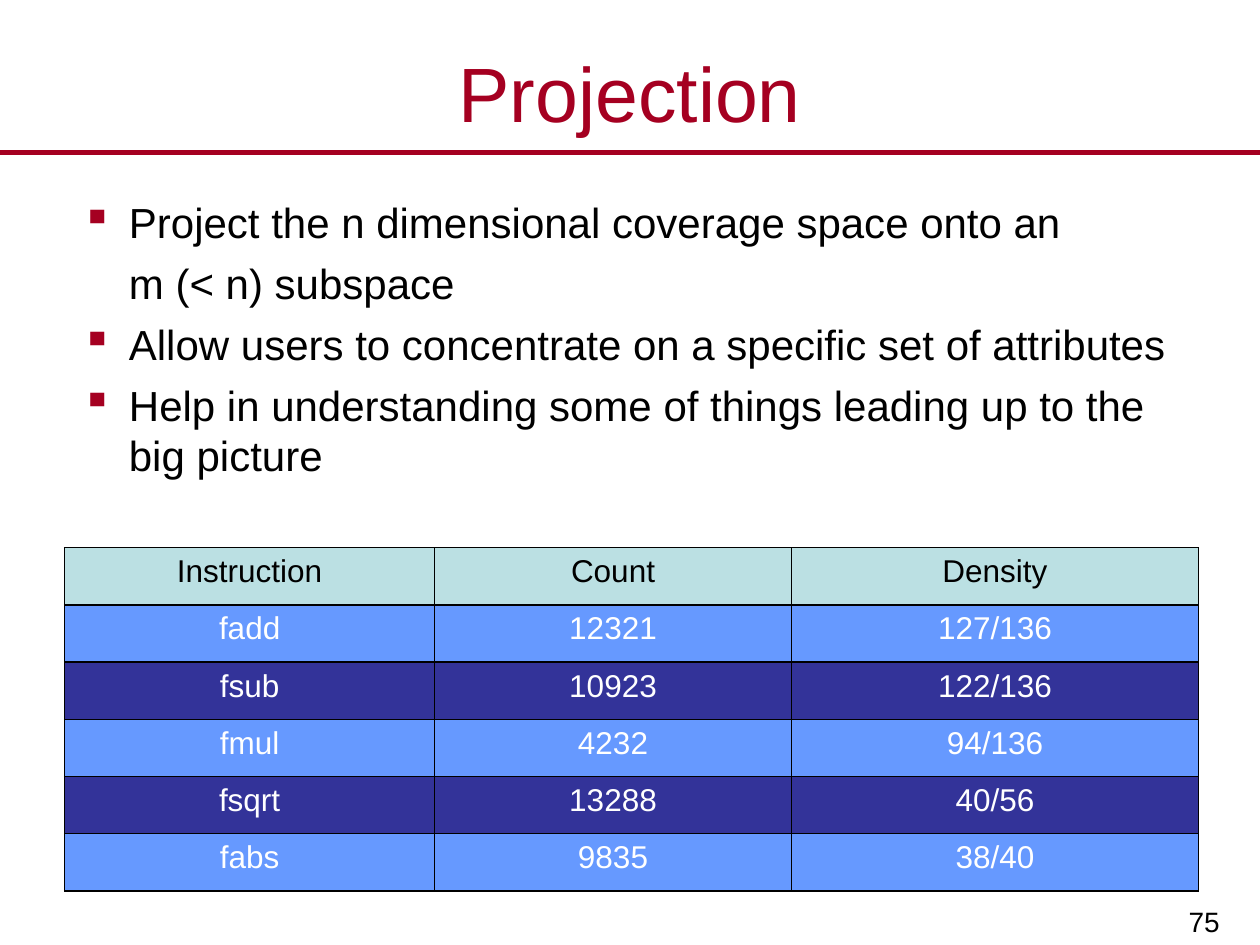
from lxml import etree
from pptx import Presentation
from pptx.dml.color import RGBColor
from pptx.enum import shapes, text
from pptx.oxml import parse_xml
from pptx.oxml.ns import nsdecls, qn
from pptx.util import Pt

CRIMSON = RGBColor(0xA5, 0x00, 0x21)
BLACK = RGBColor(0x00, 0x00, 0x00)
WHITE = RGBColor(0xFF, 0xFF, 0xFF)
TEAL = RGBColor(0xBB, 0xE0, 0xE3)
BLUE = RGBColor(0x66, 0x99, 0xFF)
NAVY = RGBColor(0x33, 0x33, 0x99)


def write(p, words, size=18, color=BLACK, align=text.PP_ALIGN.LEFT, before=0):
    r = p.add_run()
    r.text = words
    r.font.name = "Arial"
    r.font.size = Pt(size)
    r.font.color.rgb = color
    p.alignment = align
    p.space_before = Pt(before)


prs = Presentation()
prs.slide_width, prs.slide_height = Pt(720), Pt(540)
s = prs.slides.add_slide(prs.slide_layouts[5])

# Title and rule
title = s.shapes.title
title.left, title.top, title.width, title.height = Pt(0), Pt(21.6), Pt(720), Pt(62)
title.text_frame.vertical_anchor = text.MSO_ANCHOR.MIDDLE
write(title.text_frame.paragraphs[0], "Projection", size=44, color=CRIMSON,
      align=text.PP_ALIGN.CENTER)

rule = s.shapes.add_connector(shapes.MSO_CONNECTOR.STRAIGHT, Pt(0), Pt(87), Pt(720), Pt(87))
rule.line.color.rgb = CRIMSON
rule.line.width = Pt(3)
etree.SubElement(rule._element.spPr, qn("a:effectLst"))

# Bullets
points = [
    ("Project the n dimensional coverage space onto an", True),
    ("m (< n) subspace", False),
    ("Allow users to concentrate on a specific set of attributes", True),
    ("Help in understanding some of things leading up to the big picture", True),
]
body = s.shapes.add_textbox(Pt(39.6), Pt(108.7), Pt(648), Pt(179))
tf = body.text_frame
tf.word_wrap = True
for i, (words, bulleted) in enumerate(points):
    p = tf.paragraphs[0] if i == 0 else tf.add_paragraph()
    pPr = p._p.get_or_add_pPr()
    pPr.set("marL", str(Pt(27)))
    pPr.set("indent", str(Pt(-27 if bulleted else 0)))
    if bulleted:
        color = etree.SubElement(pPr, qn("a:buClr"))
        etree.SubElement(color, qn("a:srgbClr"), val=str(CRIMSON))
        etree.SubElement(pPr, qn("a:buChar"), char="▪")
    write(p, words, size=24, before=6 if i else 0)

# Coverage table
rows = [
    ("Instruction", "Count", "Density"),
    ("fadd", "12321", "127/136"),
    ("fsub", "10923", "122/136"),
    ("fmul", "4232", "94/136"),
    ("fsqrt", "13288", "40/56"),
    ("fabs", "9835", "38/40"),
]
table = s.shapes.add_table(len(rows), 3, Pt(36.9), Pt(313), Pt(648), Pt(196.2)).table
for col, width in zip(table.columns, (211.5, 203.8, 232.7)):
    col.width = Pt(width)
for i, row in enumerate(rows):
    table.rows[i].height = Pt(32.7)
    fill = TEAL if i == 0 else BLUE if i % 2 else NAVY
    for j, words in enumerate(row):
        cell = table.cell(i, j)
        write(cell.text_frame.paragraphs[0], words, color=WHITE if i else BLACK,
              align=text.PP_ALIGN.CENTER)
        tcPr = cell._tc.get_or_add_tcPr()
        for side in ("lnL", "lnR", "lnT", "lnB"):
            tcPr.append(parse_xml(
                f'<a:{side} {nsdecls("a")} w="{Pt(1)}"><a:solidFill>'
                f'<a:srgbClr val="{BLACK}"/></a:solidFill></a:{side}>'))
        cell.fill.solid()
        cell.fill.fore_color.rgb = fill

# Page number
number = s.shapes.add_textbox(Pt(561.6), Pt(499), Pt(143.3), Pt(41))
tf = number.text_frame
tf.word_wrap = True
tf.vertical_anchor = text.MSO_ANCHOR.BOTTOM
tf.margin_left = tf.margin_right = Pt(8)
tf.margin_top = tf.margin_bottom = Pt(4)
write(tf.paragraphs[0], "75", size=16, align=text.PP_ALIGN.RIGHT)

prs.save("out.pptx")
